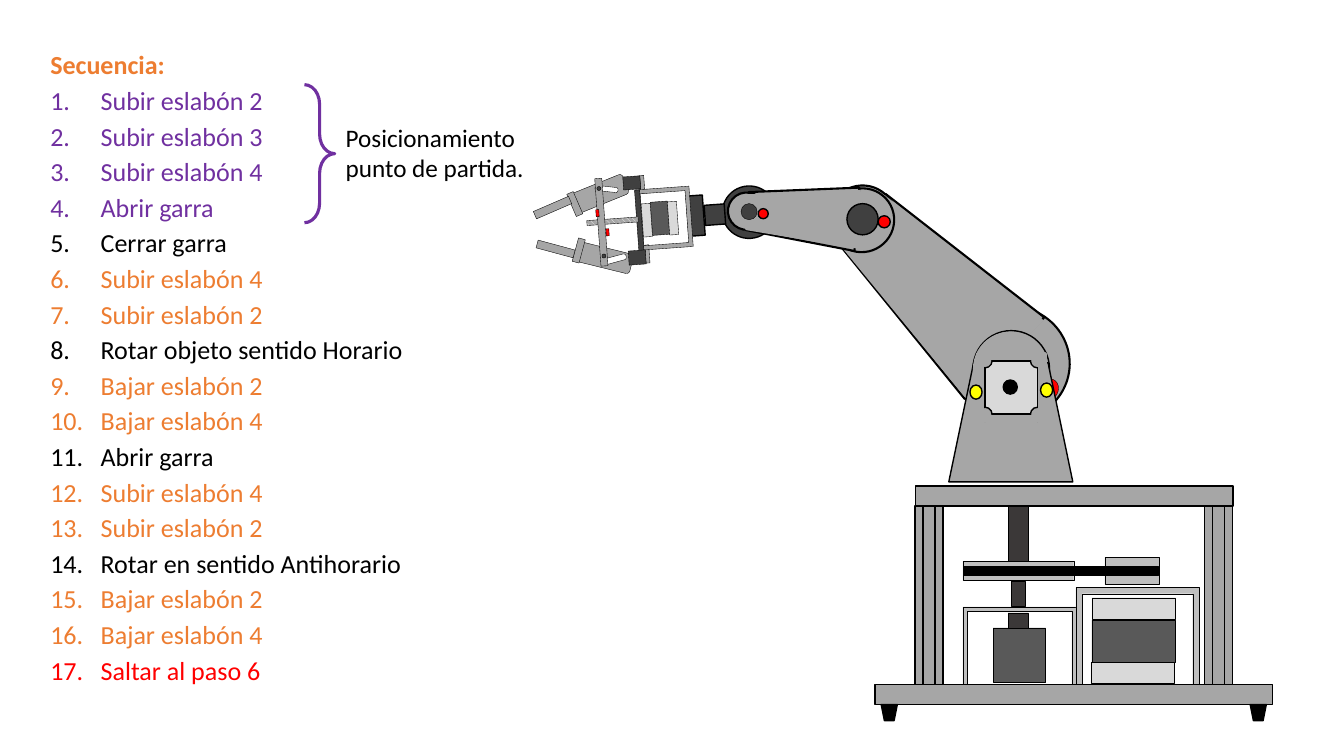
from itertools import product

from lxml.etree import SubElement
from pptx import Presentation
from pptx.dml.color import RGBColor
from pptx.enum.dml import MSO_PATTERN
from pptx.enum.shapes import MSO_SHAPE
from pptx.oxml.ns import qn
from pptx.util import Inches, Pt

COLORS = {
    "white": "FFFFFF", "black": "000000", "grey": "A6A6A6", "silver": "BFBFBF",
    "light": "D9D9D9", "dark": "404040", "slate": "595959", "coal": "3B3838",
    "red": "FF0000", "yellow": "FFFF00", "orange": "ED7D31", "purple": "7030A0",
}
RECT, OVAL, ROUND = MSO_SHAPE.RECTANGLE, MSO_SHAPE.OVAL, MSO_SHAPE.ROUNDED_RECTANGLE
FRAME, TAPER = MSO_SHAPE.FRAME, MSO_SHAPE.FLOWCHART_MANUAL_OPERATION
THIN = 0.25
STEPS = [
    ("Subir eslabón 2", "purple"), ("Subir eslabón 3", "purple"),
    ("Subir eslabón 4", "purple"), ("Abrir garra", "purple"),
    ("Cerrar garra", "black"), ("Subir eslabón 4", "orange"),
    ("Subir eslabón 2", "orange"), ("Rotar objeto sentido Horario", "black"),
    ("Bajar eslabón 2", "orange"), ("Bajar eslabón 4", "orange"),
    ("Abrir garra", "black"), ("Subir eslabón 4", "orange"),
    ("Subir eslabón 2", "orange"), ("Rotar en sentido Antihorario", "black"),
    ("Bajar eslabón 2", "orange"), ("Bajar eslabón 4", "orange"),
    ("Saltar al paso 6", "red"),
]


def color(name):
    return RGBColor.from_string(COLORS[name])


def pen(shapes, box):
    """Return a function that draws one part, placed from the box's corner."""
    left, top = box[:2]

    def draw(kind, place, fill, width=1.0, turn=0.0, edge="black", adj=None):
        x, y, w, h = place
        part = shapes.add_shape(kind, Inches(left + x), Inches(top + y),
                                Inches(w), Inches(h))
        part.shadow.inherit = False
        part.rotation = turn
        if adj is not None:
            part.adjustments[0] = adj
        if fill:
            part.fill.solid()
            part.fill.fore_color.rgb = color(fill)
        else:
            part.fill.background()
        if width:
            part.line.color.rgb = color(edge)
            part.line.width = Pt(width)
        else:
            part.line.fill.background()
        return part

    return draw


def add_claw(slide, box):
    draw = pen(slide.shapes.add_group_shape().shapes, box)
    fingers = [
        (103.8, (0.6, 0.59, 0.2, 0.54), 74.9, (0.76, 0.75, 0.06, 0.25),
         105.1, (0.32, 0.75, 0.24, 0.07), (0.17, 0.58, 0.08, 0.38)),
        (67.9, (0.55, -0.05, 0.21, 0.54), 96.2, (0.69, 0.06, 0.05, 0.23),
         66.6, (0.28, 0.29, 0.24, 0.07), (0.14, 0.17, 0.08, 0.38)),
    ]
    for lean, palm, tilt, slot, bend, joint, tip in fingers:
        draw(ROUND, palm, "grey", THIN, lean)
        draw(ROUND, slot, "white", THIN, tilt, adj=0.405)
        draw(RECT, joint, "grey", THIN, bend)
        draw(RECT, tip, "grey", THIN, bend)

    turn = 85.9
    draw(OVAL, (1.87, 0.14, 0.52, 0.53), "dark", 1, turn)
    draw(RECT, (1.69, 0.33, 0.2, 0.2), "dark", 1, turn)
    draw(RECT, (1.4, 0.36, 0.4, 0.16), "dark", 1, turn)
    for place in [(0.98, 0.11, 0.18, 0.04), (1.03, 0.8, 0.18, 0.04)]:
        draw(RECT, place, "grey", THIN, turn)
    draw(FRAME, (0.99, 0.2, 0.6, 0.53), "grey", THIN, turn, adj=0.079)
    for place, fill in [
        ((0.74, 0.46, 0.6, 0.05), "dark"),
        ((0.9, 0.03, 0.13, 0.17), "dark"),
        ((0.95, 0.77, 0.14, 0.17), "dark"),
        ((1.08, 0.38, 0.33, 0.17), "slate"),
        ((1.21, 0.42, 0.33, 0.09), "light"),
        ((0.95, 0.44, 0.33, 0.09), "light"),
    ]:
        draw(RECT, place, fill, THIN, turn)
    screw = draw(RECT, (0.75, 0.24, 0.05, 0.51), "grey", THIN, turn)
    screw.fill.patterned()
    screw.fill.pattern = MSO_PATTERN.WIDE_DOWNWARD_DIAGONAL
    screw.fill.fore_color.rgb = color("white")
    screw.fill.back_color.rgb = color("grey")
    draw(RECT, (0.69, 0.59, 0.07, 0.03), "red", THIN, turn)
    draw(RECT, (0.63, 0.07, 0.07, 0.87), "grey", THIN, 355.9)
    for x, y in [(0.62, 0.15), (0.67, 0.82)]:
        draw(OVAL, (x, y, 0.04, 0.04), "dark", THIN, turn)
    draw(RECT, (0.59, 0.4, 0.07, 0.03), "red", THIN, turn)


def add_link(draw, near, far, body, cover, spin, turns):
    """Two round ends joined by a tapered body, its seams hidden by a cover."""
    draw(OVAL, near, "grey", 1.5, spin)
    draw(TAPER, body, "grey", 1.5, turns[0])
    draw(OVAL, far, "grey", 1.5, spin)
    draw(TAPER, cover, "grey", 1.5, turns[1], edge="grey")


def add_arm(slide, box):
    draw = pen(slide.shapes.add_group_shape().shapes, box)
    add_link(draw, (1.25, 1.24, 1.16, 1.13), (0.02, 0.04, 0.67, 0.67),
             (0.49, 0.07, 1.13, 1.98), (0.52, 0.08, 1.07, 1.98), 5, (134.4, 134.4))
    draw(OVAL, (2.07, 1.97, 0.24, 0.2), "red", THIN, 309.9)


def add_wrist(slide, box):
    draw = pen(slide.shapes.add_group_shape().shapes, box)
    add_link(draw, (1.03, 0.07, 0.64, 0.63), (0.02, 0.11, 0.37, 0.37),
             (0.44, -0.21, 0.63, 1.09), (0.48, -0.21, 0.56, 1.1), 324.8, (94.3, 93.6))
    for x, y, size, fill, width in [
        (1.2, 0.22, 0.31, "dark", 1), (0.15, 0.22, 0.16, "dark", THIN),
        (1.51, 0.34, 0.12, "red", 1), (0.32, 0.27, 0.1, "red", 1),
    ]:
        draw(OVAL, (x, y, size, size), fill, width)


def add_mount(slide, box):
    draw = pen(slide.shapes.add_group_shape().shapes, box)
    draw(ROUND, (0.25, 0.08, 0.76, 0.82), "grey", adj=0.5)
    draw(TAPER, (0.01, 0.4, 1.23, 1.18), "grey", turn=180)
    draw(ROUND, (0.25, 0.09, 0.74, 0.79), "grey", 0, adj=0.5)
    x, y, w, h = motor = (0.37, 0.38, 0.52, 0.53)
    draw(RECT, motor, "light")
    draw(OVAL, (0.55, 0.57, 0.14, 0.14), "black")

    # Notch each motor corner: a disc, then strips over its outer halves.
    for right, low in product((0, 1), repeat=2):
        cx, cy = x + right * w, y + low * h
        dx, dy = (0.09 * side - 0.045 for side in (right, low))
        draw(OVAL, (cx - 0.07, cy - 0.07, 0.14, 0.14), "grey")
        draw(RECT, (cx - 0.085, cy + dy - 0.03, 0.17, 0.06), "grey", edge="grey")
        draw(RECT, (cx + dx - 0.03, cy - 0.085, 0.06, 0.17), "grey", edge="grey")
    for left, top in [(0.22, 0.62), (0.92, 0.6)]:
        draw(OVAL, (left, top, 0.12, 0.14), "yellow")


def add_base(slide, box):
    draw = pen(slide.shapes.add_group_shape().shapes, box)
    wide = box[2]
    draw(FRAME, (0.87, 1.2, 1.13, 0.86), "silver", THIN, adj=0.055)
    draw(FRAME, (1.99, 1.01, 1.22, 1.1), "silver", THIN, adj=0.055)
    draw(RECT, (0.4, 0, 3.15, 0.2), "grey")
    draw(RECT, (0, 1.97, wide, 0.2), "grey")
    for mid, thick in product((0.535, 3.405), (0.28, 0.12)):
        draw(RECT, (mid - thick / 2, 0.2, thick, 1.77), "grey")
    for left in (0.06, wide - 0.22):
        draw(TAPER, (left, 2.17, 0.16, 0.16), "black")
    for place, fill in [
        ((2.15, 1.33, 0.83, 0.42), "slate"),
        ((2.15, 1.11, 0.83, 0.21), "light"),
        ((2.14, 1.75, 0.83, 0.21), "light"),
        ((1.17, 1.41, 0.52, 0.54), "slate"),
        ((0.87, 0.75, 1.1, 0.19), "silver"),
        ((2.28, 0.71, 0.54, 0.27), "silver"),
        ((0.88, 0.8, 1.93, 0.09), "black"),
        ((1.32, 0.2, 0.2, 0.55), "coal"),
        ((1.32, 1.26, 0.2, 0.15), "coal"),
        ((1.35, 0.95, 0.14, 0.24), "coal"),
    ]:
        draw(RECT, place, fill, 1 if fill == "black" else THIN)


def write(para, text, size, ink, bold=False):
    para.text = text
    font = para.runs[0].font
    font.name, font.size, font.bold = "Calibri", Pt(size), bold
    font.color.rgb = color(ink)


def add_steps(slide, box):
    frame = slide.shapes.add_textbox(*map(Inches, box)).text_frame
    frame.word_wrap = True
    title = frame.paragraphs[0]
    title.line_spacing = 0.7
    write(title, "Secuencia:", 18.6, "orange", True)
    for text, ink in STEPS:
        para = frame.add_paragraph()
        para.line_spacing, para.space_before = 0.7, Pt(9.8)
        props = para._p.get_or_add_pPr()
        props.set("marL", str(Inches(0.5)))
        props.set("indent", str(-Inches(0.5)))
        SubElement(props, qn("a:buFont"), typeface="+mj-lt")
        SubElement(props, qn("a:buAutoNum"), type="arabicPeriod")
        write(para, text, 18.6, ink)


def add_note(slide, box):
    draw = pen(slide.shapes, box)
    brace = draw(MSO_SHAPE.RIGHT_BRACE, (0, 0, 0.3, box[3]), None, 2.25, edge="purple")
    brace.adjustments[0], brace.adjustments[1] = 0.646, 0.5
    left, top = box[0] + 0.31, box[1] + 0.32
    label = slide.shapes.add_textbox(*map(Inches, (left, top, 2.1, 0.71)))
    label.text_frame.word_wrap = True
    write(label.text_frame.paragraphs[0], "Posicionamiento punto de partida.", 18, "black")


def main():
    deck = Presentation()
    deck.slide_width, deck.slide_height = Inches(13.33), Inches(7.5)
    slide = deck.slides.add_slide(deck.slide_layouts[6])
    add_claw(slide, (5.3, 1.7, 2.4, 1.1))
    add_arm(slide, (8.2, 1.8, 2.5, 2.4))
    add_mount(slide, (9.4, 3.2, 1.25, 1.6))
    add_base(slide, (8.68, 4.82, 3.94, 2.33))
    add_wrist(slide, (7.2, 1.8, 1.7, 0.7))
    add_steps(slide, (0.4, 0.52, 3.89, 6.89))
    add_note(slide, (3.02, 0.84, 2.41, 1.37))
    deck.save("out.pptx")


if __name__ == "__main__":
    main()
